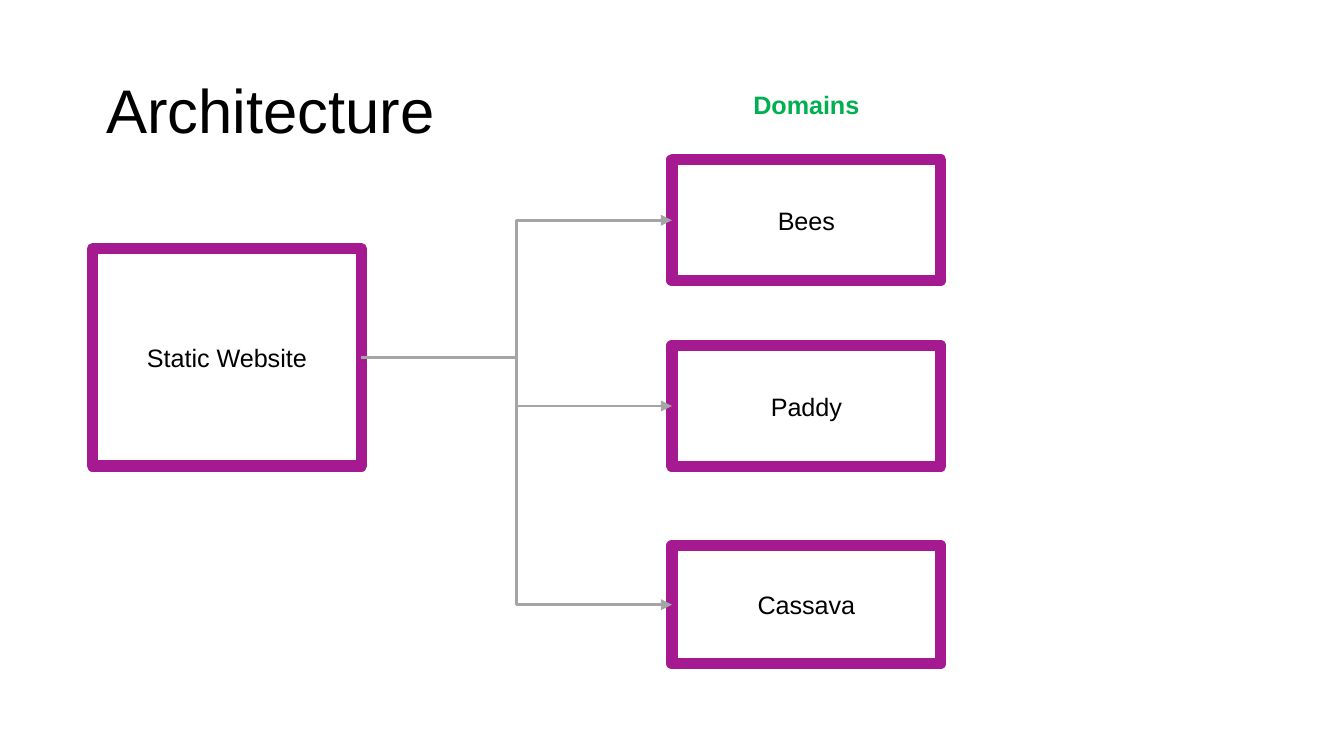
"""Build the architecture slide: one static website feeding three domains."""
from dataclasses import dataclass

import lxml.etree
import pptx
import pptx.dml.color
import pptx.enum.shapes
import pptx.enum.text
import pptx.oxml.ns
import pptx.util

Cm = pptx.util.Cm
Pt = pptx.util.Pt
qn = pptx.oxml.ns.qn
Align = pptx.enum.text.PP_ALIGN
Anchor = pptx.enum.text.MSO_ANCHOR

COLORS = {"text": "000000", "border": "A51991", "arrow": "A5A5A5", "heading": "00B050"}
FONT = "Arial"
LEFT, DOMAIN_LEFT, BOX_WIDTH = 1.75, 12.7, 5.08


@dataclass
class Box:
    label: str
    left: float
    top: float
    height: float


WEBSITE = Box("Static Website", LEFT, 4.7, 4.11)
DOMAINS = [
    Box("Bees", DOMAIN_LEFT, 3.02, 2.29),
    Box("Paddy", DOMAIN_LEFT, 6.53, 2.29),
    Box("Cassava", DOMAIN_LEFT, 10.31, 2.24),
]


def rgb(name: str) -> pptx.dml.color.RGBColor:
    return pptx.dml.color.RGBColor.from_string(COLORS[name])


def write(sp, text: str, size: float, color: str = "text",
          align=Align.CENTER, bold: bool = False) -> None:
    tf = sp.text_frame
    tf.text = text
    tf.word_wrap = True
    p = tf.paragraphs[0]
    p.alignment = align
    font = p.runs[0].font
    font.name, font.size, font.bold = FONT, Pt(size), bold
    font.color.rgb = rgb(color)


def add_box(s, box: Box):
    sp = s.shapes.add_shape(pptx.enum.shapes.MSO_SHAPE.RECTANGLE, Cm(box.left),
                            Cm(box.top), Cm(BOX_WIDTH), Cm(box.height))
    sp.shadow.inherit = False
    sp.fill.background()
    sp.line.color.rgb = rgb("border")
    sp.line.width = Pt(6)
    write(sp, box.label, 13.5)
    sp.text_frame.vertical_anchor = Anchor.MIDDLE
    return sp


def add_arrow(s, source, target) -> None:
    cx = s.shapes.add_connector(pptx.enum.shapes.MSO_CONNECTOR.ELBOW, 0, 0, 0, 0)
    cx.begin_connect(source, 3)
    cx.end_connect(target, 1)
    cx.line.color.rgb = rgb("arrow")
    cx.line.width = Pt(1.5)
    lxml.etree.SubElement(cx.line._get_or_add_ln(), qn("a:tailEnd"), type="triangle")
    lxml.etree.SubElement(cx._element.spPr, qn("a:effectLst"))


def add_title(s, text: str) -> None:
    sp = s.shapes.title
    sp.left, sp.top, sp.width, sp.height = Cm(LEFT), Cm(0.76), Cm(21.9), Cm(2.77)
    write(sp, text, 33, align=Align.LEFT)
    tf = sp.text_frame
    tf.auto_size = pptx.enum.text.MSO_AUTO_SIZE.NONE
    tf.vertical_anchor = Anchor.MIDDLE
    tf.paragraphs[0].line_spacing = 0.9


def main() -> None:
    prs = pptx.Presentation()
    prs.slide_width, prs.slide_height = Cm(25.4), Cm(14.29)
    s = prs.slides.add_slide(prs.slide_layouts[5])
    add_title(s, "Architecture")
    website = add_box(s, WEBSITE)
    domains = [add_box(s, box) for box in DOMAINS]
    for domain in domains:
        add_arrow(s, website, domain)
    heading = s.shapes.add_textbox(Cm(DOMAIN_LEFT), Cm(1.57), Cm(BOX_WIDTH), Cm(0.84))
    write(heading, "Domains", 13.5, "heading", bold=True)
    prs.save("out.pptx")


if __name__ == "__main__":
    main()
